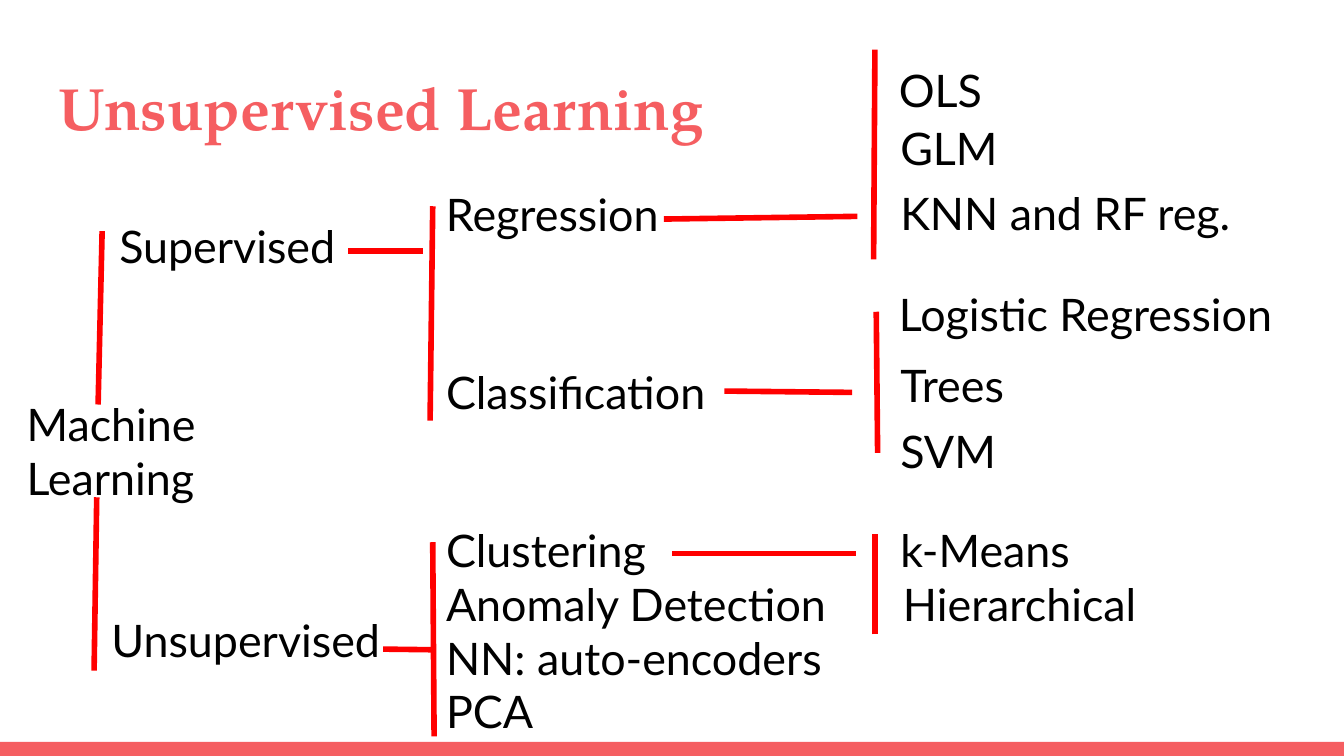
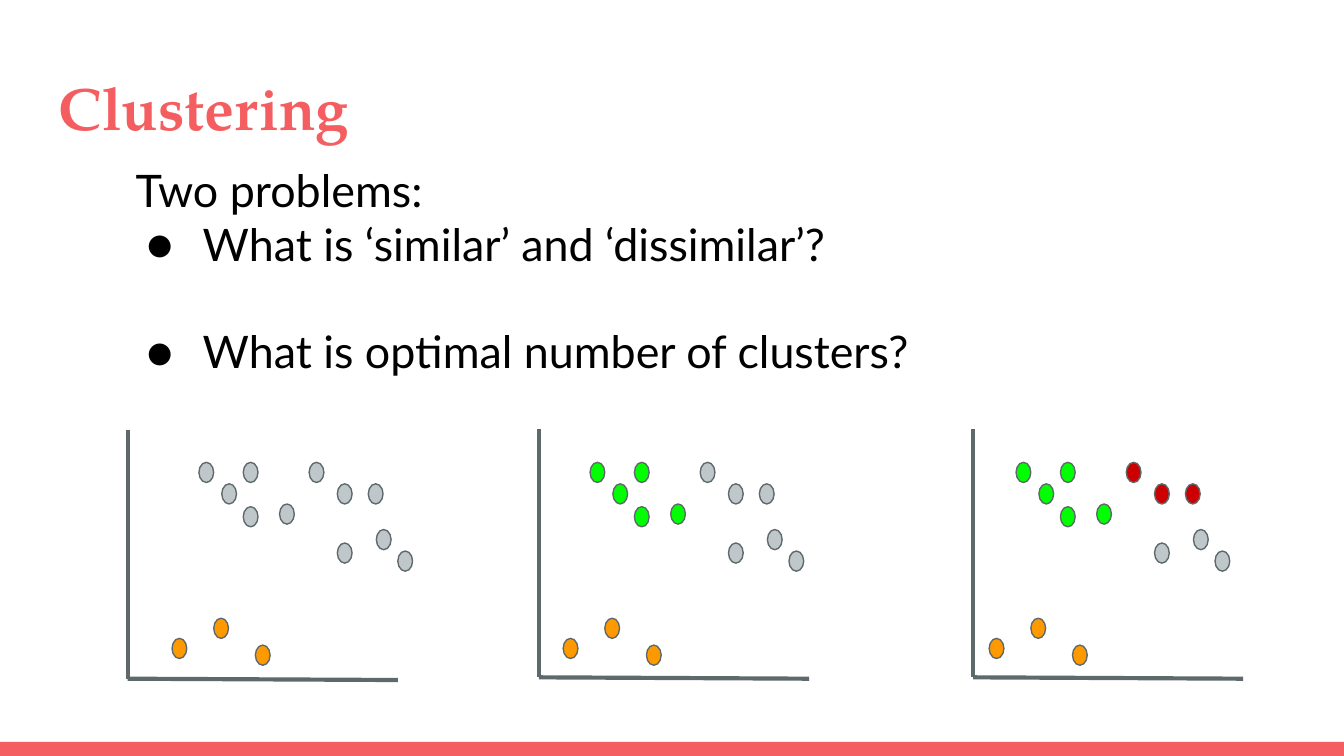
from typing import NamedTuple, Optional

from lxml import etree
from pptx import Presentation
from pptx import util as u
from pptx.dml.color import RGBColor
from pptx.enum import shapes, text
from pptx.oxml.ns import qn

CORAL, BLACK, RED, SLATE = "F55E61", "000000", "FF0000", "5E696C"
GREY, ORANGE, GREEN, DARK_RED = "BFC7CA", "FF9900", "00FF00", "CC0000"
TITLE_FONT, BODY_FONT = "TeX Gyre Pagella", "Lato"
BODY_SIZE = 24
LABEL_H = 0.49
LEFT_SIDE = 1


class Label(NamedTuple):
    words: str
    x: float
    y: float
    w: float


class Line(NamedTuple):
    x1: float
    y1: float
    x2: float
    y2: float
    end_label: Optional[str] = None


class Panel(NamedTuple):
    axis_x: float
    axis_top: float
    dots_x: float
    colors: dict[str, str]


LABELS = [
    Label("Machine Learning", 0.1, 2.85, 1.96),
    Label("Supervised", 0.79, 1.53, 1.96),
    Label("Unsupervised", 0.73, 4.46, 2.49),
    Label("Regression", 3.22, 1.29, 1.96),
    Label("Classification", 3.22, 2.61, 2.49),
    Label("Clustering", 3.22, 3.79, 1.78),
    Label("Anomaly Detection", 3.22, 4.19, 3.81),
    Label("NN: auto-encoders", 3.22, 4.59, 3.81),
    Label("PCA", 3.22, 4.99, 3.81),
    Label("OLS", 6.59, 0.37, 2.4),
    Label("GLM", 6.6, 0.8, 2.08),
    Label("KNN and RF reg.", 6.6, 1.28, 3.29),
    Label("Logistic Regression", 6.59, 2.03, 3.12),
    Label("Trees", 6.6, 2.56, 3.12),
    Label("SVM", 6.6, 3.05, 3.12),
    Label("k-Means", 6.6, 3.79, 3.12),
    Label("Hierarchical", 6.62, 4.19, 3.12),
]

BRACKETS = [
    Line(0.73, 3.01, 0.76, 1.72),
    Line(0.7, 4.99, 0.72, 3.7),
    Line(3.2, 3.13, 3.22, 1.53, "Regression"),
    Line(3.23, 5.48, 3.22, 4.03, "Clustering"),
    Line(6.5, 1.93, 6.51, 0.37),
    Line(6.53, 3.37, 6.52, 2.32),
    Line(6.51, 4.72, 6.51, 3.97),
]

BRANCHES = [
    Line(2.59, 1.87, 3.15, 1.87),
    Line(2.85, 4.83, 3.22, 4.83, "NN: auto-encoders"),
    Line(4.94, 1.63, 6.38, 1.61),
    Line(5.39, 2.91, 6.34, 2.92),
    Line(5, 4.12, 6.37, 4.12),
]

# Each dot: offset from the panel's leftmost dot, and top on the slide.
CLUSTERS = {
    "upper left": [(0.2, 3.44), (0.37, 3.6), (0.53, 3.77), (0.53, 3.44), (0.8, 3.75)],
    "upper right": [(1.02, 3.44), (1.23, 3.6), (1.46, 3.6)],
    "middle right": [(1.23, 4.04), (1.52, 3.94), (1.68, 4.1)],
    "bottom": [(0, 4.75), (0.31, 4.6), (0.62, 4.8)],
}
ONE_FOUND = {"bottom": ORANGE}
TWO_FOUND = ONE_FOUND | {"upper left": GREEN}
THREE_FOUND = TWO_FOUND | {"upper right": DARK_RED}
PANELS = [
    Panel(0.95, 3.2, 1.28, ONE_FOUND),
    Panel(4.01, 3.19, 4.19, TWO_FOUND),
    Panel(7.24, 3.19, 7.36, THREE_FOUND),
]
AXIS_W, AXIS_H, AXIS_DROP = 2.01, 1.85, 0.01
DOT_W, DOT_H = 0.11, 0.15


def rgb(color: str) -> RGBColor:
    return RGBColor.from_string(color)


def add_text(s, words: str, x: float, y: float, w: float, h: float, *,
             font: str = BODY_FONT, size: float = BODY_SIZE,
             color: str = BLACK, bold: bool = False):
    """Add a text box with one paragraph per line of words."""
    sp = s.shapes.add_textbox(*map(u.Inches, (x, y, w, h)))
    tf = sp.text_frame
    tf.word_wrap = True
    tf.vertical_anchor = text.MSO_ANCHOR.TOP
    tf.margin_left = tf.margin_right = u.Inches(0.1)
    tf.margin_top = tf.margin_bottom = u.Inches(0.1)
    for i, line in enumerate(words.split("\n")):
        p = tf.add_paragraph() if i else tf.paragraphs[0]
        r = p.add_run()
        r.text = line
        r.font.name, r.font.size, r.font.bold = font, u.Pt(size), bold
        r.font.color.rgb = rgb(color)
    return sp


def add_bullet(p) -> None:
    pPr = p._p.get_or_add_pPr()
    pPr.set("marL", str(u.Inches(0.5)))
    pPr.set("indent", str(u.Inches(-0.42)))
    buClr = etree.SubElement(pPr, qn("a:buClr"))
    etree.SubElement(buClr, qn("a:srgbClr"), val=BLACK)
    etree.SubElement(pPr, qn("a:buFont"), typeface=BODY_FONT)
    etree.SubElement(pPr, qn("a:buChar"), char="●")


def add_shape(s, kind, x: float, y: float, w: float, h: float,
              fill: str, line: Optional[str] = None):
    sp = s.shapes.add_shape(kind, *map(u.Inches, (x, y, w, h)))
    sp.shadow.inherit = False
    sp.fill.solid()
    sp.fill.fore_color.rgb = rgb(fill)
    if line:
        sp.line.color.rgb = rgb(line)
        sp.line.width = u.Pt(0.75)
    else:
        sp.line.fill.background()
    return sp


def add_line(s, line: Line, color: str, width: float):
    ends = map(u.Inches, (line.x1, line.y1, line.x2, line.y2))
    cx = s.shapes.add_connector(shapes.MSO_CONNECTOR.STRAIGHT, *ends)
    cx.line.color.rgb = rgb(color)
    cx.line.width = u.Pt(width)
    etree.SubElement(cx._element.spPr, qn("a:effectLst"))
    return cx


def add_slide(prs, title: str):
    """Add a blank slide with the shared bottom band and title."""
    s = prs.slides.add_slide(prs.slide_layouts[6])
    add_shape(s, shapes.MSO_SHAPE.RECTANGLE, 0, 5.52, 10, 0.11, CORAL)
    add_text(s, title, 0.34, 0.43, 9.32, 0.68,
             font=TITLE_FONT, size=32, color=CORAL, bold=True)
    return s


def add_panel(s, panel: Panel) -> None:
    """Draw the two axes of a scatter sketch and its coloured dots."""
    x, top = panel.axis_x, panel.axis_top
    base = top + AXIS_H
    add_line(s, Line(x, top, x, base), SLATE, 2.25)
    add_line(s, Line(x + AXIS_W, base + AXIS_DROP, x, base), SLATE, 2.25)
    for cluster, dots in CLUSTERS.items():
        fill = panel.colors.get(cluster, GREY)
        for dx, y in dots:
            add_shape(s, shapes.MSO_SHAPE.OVAL, panel.dots_x + dx, y,
                      DOT_W, DOT_H, fill, SLATE)


def build_learning_tree(prs) -> None:
    s = add_slide(prs, "Unsupervised Learning")
    boxes = {lb.words: add_text(s, lb.words, lb.x, lb.y, lb.w, LABEL_H)
             for lb in LABELS}
    for line in BRACKETS + BRANCHES:
        cx = add_line(s, line, RED, 3)
        if line.end_label:
            cx.end_connect(boxes[line.end_label], LEFT_SIDE)


def build_clustering(prs) -> None:
    s = add_slide(prs, "Clustering")
    problems = ("Two problems:\nWhat is ‘similar’ and ‘dissimilar’?\n"
                "What is optimal number of clusters?")
    sp = add_text(s, problems, 0.91, 1.11, 8.91, LABEL_H)
    bullets = sp.text_frame.paragraphs[1:]
    bullets[-1].space_before = u.Pt(1.2 * BODY_SIZE)
    for p in bullets:
        add_bullet(p)
    for panel in PANELS:
        add_panel(s, panel)


def main() -> None:
    prs = Presentation()
    prs.slide_width, prs.slide_height = u.Inches(10), u.Inches(5.625)
    build_learning_tree(prs)
    build_clustering(prs)
    prs.save("out.pptx")


if __name__ == "__main__":
    main()
